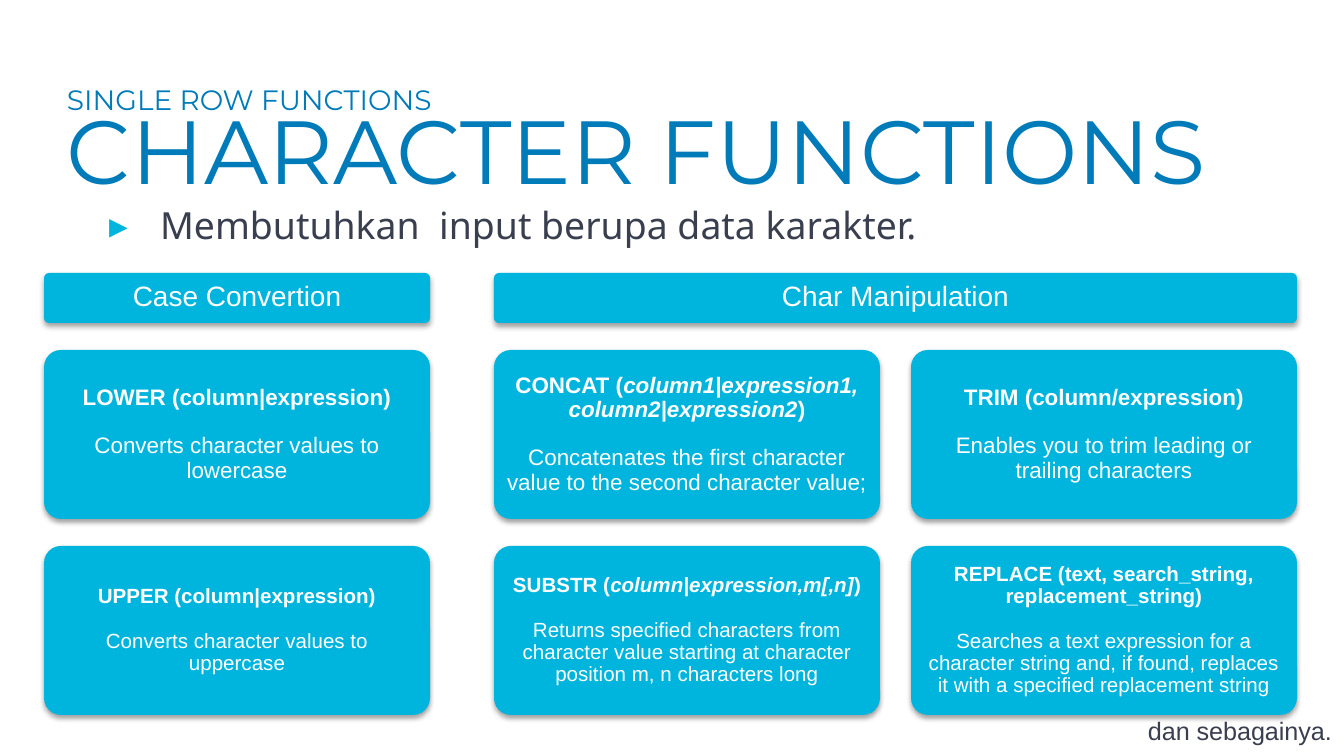
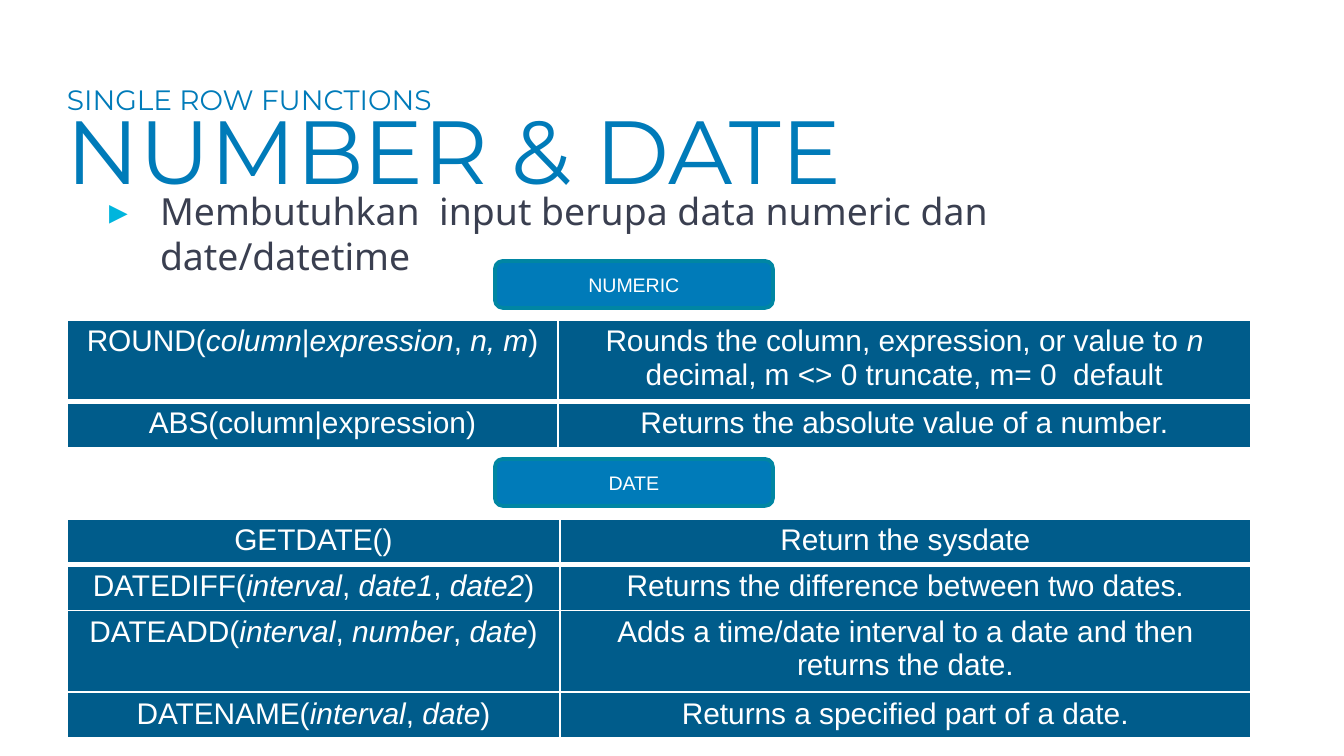
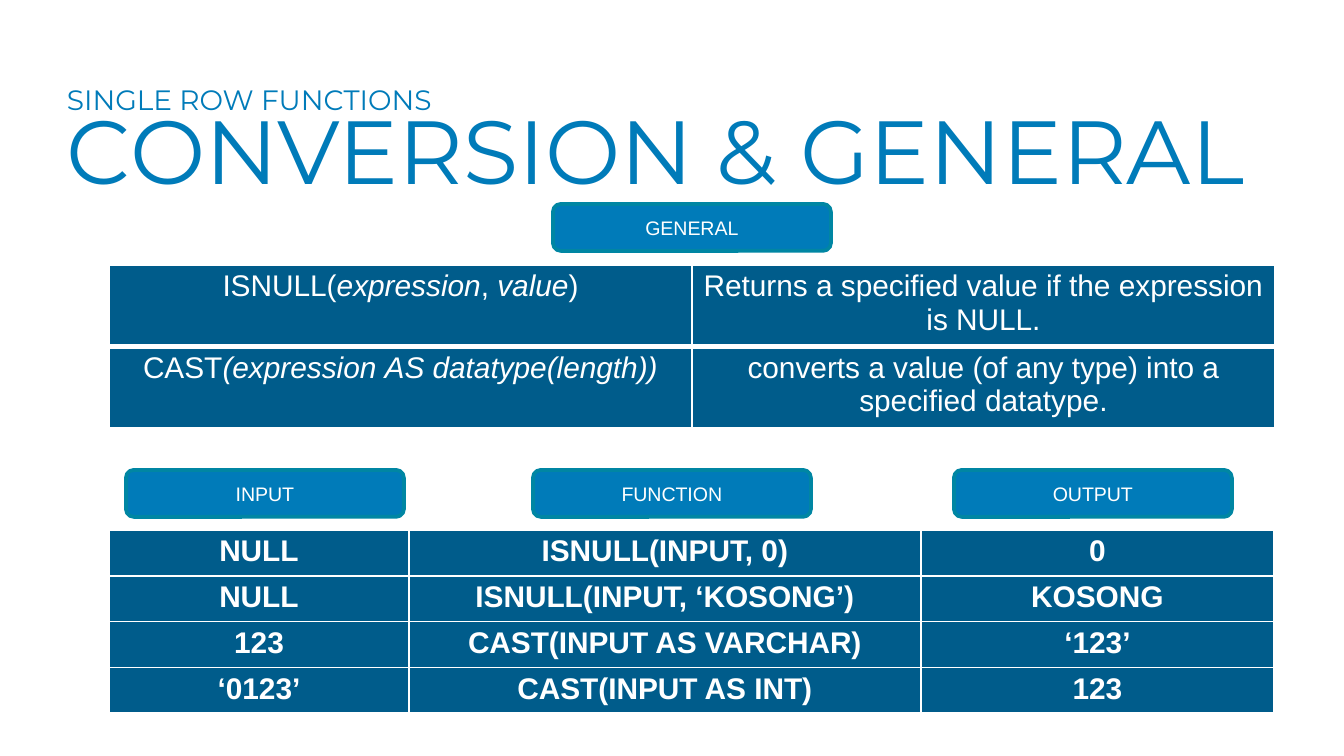
"""Build three slides on SQL single row functions."""
from dataclasses import dataclass

from lxml import etree
from pptx import Presentation
from pptx.dml.color import RGBColor
from pptx.enum.shapes import MSO_SHAPE
from pptx.enum.text import MSO_ANCHOR, PP_ALIGN
from pptx.oxml.ns import qn
from pptx.util import Emu, Pt

ROUNDED = MSO_SHAPE.ROUNDED_RECTANGLE
CENTER, MIDDLE = PP_ALIGN.CENTER, MSO_ANCHOR.MIDDLE
LEFT, TOP = PP_ALIGN.LEFT, MSO_ANCHOR.TOP
BORDERS = ("a:lnL", "a:lnR", "a:lnT", "a:lnB")


@dataclass(frozen=True)
class Theme:
    blue: str = "007BB9"
    cyan: str = "00B5DD"
    teal: str = "0086A3"
    navy: str = "005C8B"
    ink: str = "3A3F50"
    white: str = "FFFFFF"
    shadow: str = "000000"
    title_font: str = "Montserrat"
    body_font: str = "Noto Sans"
    font: str = "Arial"
    title_size: float = 48
    kicker_size: float = 15
    body_size: float = 20
    table_size: float = 16
    header_size: float = 15
    label_size: float = 10.5
    note_size: float = 13.5


def px(value):
    return Emu(round(value * 914400 / 134.4))


def rgb(color):
    return RGBColor.from_string(color)


def add_xml(parent, tag, **attributes):
    return etree.SubElement(parent, qn(tag), attributes)


def add_solid(parent, color):
    fill = add_xml(parent, "a:solidFill")
    return add_xml(fill, "a:srgbClr", val=color)


class SlideBuilder:
    def __init__(self, theme):
        self.theme = theme
        self.deck = Presentation()
        self.deck.slide_width, self.deck.slide_height = px(1344), px(756)
        self.page = None

    def start_page(self, title, width):
        theme = self.theme
        self.page = self.deck.slides.add_slide(self.deck.slide_layouts[6])
        frame = self.text_box(67, 89, width, 159)
        para = frame.paragraphs[0]
        para.text = "SINGLE ROW FUNCTIONS\v" + title
        para.line_spacing = 0.8
        for span, size in zip(para.runs, (theme.kicker_size, theme.title_size)):
            self.style(span, size, theme.blue, theme.title_font)

    def style(self, span, size, color, font=None, bold=False, italic=False):
        span.font.size, span.font.name = Pt(size), font or self.theme.font
        span.font.color.rgb = rgb(color)
        span.font.bold, span.font.italic = bold, italic

    def add_text(self, para, text, size, color, bold=False, align=CENTER):
        """Add text whose italic parts stand between asterisks."""
        para.alignment = align
        for index, part in enumerate(text.split("*")):
            if part:
                span = para.add_run()
                span.text = part
                self.style(span, size, color, bold=bold, italic=index % 2 == 1)

    def inset(self, frame, across, down):
        frame.margin_left = frame.margin_right = px(across)
        frame.margin_top = frame.margin_bottom = px(down)

    def text_box(self, x, y, width, height):
        box = self.page.shapes.add_textbox(px(x), px(y), px(width), px(height))
        frame = box.text_frame
        frame.word_wrap, frame.vertical_anchor = True, TOP
        self.inset(frame, 0, 0)
        return frame

    def bullet(self, y, text):
        theme = self.theme
        para = self.text_box(93, y, 1105, 83).paragraphs[0]
        para.text = text
        para.alignment, para.space_before = LEFT, Pt(6)
        self.style(para.runs[0], theme.body_size, theme.ink, theme.body_font)
        props = para._p.get_or_add_pPr()
        props.set("marL", str(px(67)))
        props.set("indent", str(px(-51)))
        add_xml(add_xml(props, "a:buClr"), "a:srgbClr", val=theme.cyan)
        add_xml(props, "a:buFont", typeface=theme.body_font)
        add_xml(props, "a:buChar", char="▸")

    def note(self, x, y, text):
        frame = self.text_box(x, y, 205, 40)
        frame.word_wrap = False
        self.inset(frame, 10, 5)
        para = frame.paragraphs[0]
        para.line_spacing, para.space_before = 0.9, Pt(10)
        self.add_text(para, text, self.theme.note_size, self.theme.ink, align=LEFT)

    def rounded(self, x, y, width, height, fill):
        box = self.page.shapes.add_shape(ROUNDED, px(x), px(y), px(width), px(height))
        box.fill.solid()
        box.fill.fore_color.rgb = rgb(fill)
        box.line.fill.background()
        box.shadow.inherit = False
        box.text_frame.word_wrap, box.text_frame.vertical_anchor = True, MIDDLE
        return box

    def card(self, x, y, width, height, heading, size, detail=None):
        box = self.rounded(x, y, width, height, self.theme.cyan)
        box.adjustments[0] = 0.1
        effects = box._element.spPr.find(qn("a:effectLst"))
        shadow = add_xml(effects, "a:outerShdw", blurRad=str(Pt(3.1)),
                         dist=str(Pt(1.6)), dir="5400000", rotWithShape="0")
        color = add_xml(shadow, "a:srgbClr", val=self.theme.shadow)
        add_xml(color, "a:alpha", val="38000")
        frame = box.text_frame
        self.inset(frame, 7, 7)
        para = frame.paragraphs[0]
        para.line_spacing = 0.9
        self.add_text(para, heading, size, self.theme.white, bold=detail is not None)
        if detail:
            para.space_after = Pt(size + 1)
            para = frame.add_paragraph()
            para.line_spacing = 0.9
            self.add_text(para, detail, size, self.theme.white)

    def label(self, x, y, text):
        box = self.rounded(x, y, 278, 47, self.theme.blue)
        box.line.color.rgb, box.line.width = rgb(self.theme.teal), Pt(2)
        self.add_text(box.text_frame.paragraphs[0], text, self.theme.label_size,
                      self.theme.white)

    def table(self, x, y, widths, heights, rows, bold=False, thick_first=True):
        frame = self.page.shapes.add_table(len(rows), len(widths), px(x), px(y),
                                           px(sum(widths)), px(sum(heights)))
        table = frame.table
        table.first_row = table.horz_banding = False
        for column, width in zip(table.columns, widths):
            column.width = px(width)
        for index, (row, height, texts) in enumerate(zip(table.rows, heights, rows)):
            row.height = px(height)
            for cell, text in zip(row.cells, texts):
                self.cell(cell, text, bold, 3 if thick_first and index == 0 else 1)

    def cell(self, cell, text, bold, bottom):
        self.inset(cell, 10, 5)
        self.add_text(cell.text_frame.paragraphs[0], text, self.theme.table_size,
                      self.theme.white, bold)
        props = cell._tc.get_or_add_tcPr()
        for tag, width in zip(BORDERS, (1, 1, 1, bottom)):
            add_solid(add_xml(props, tag, w=str(Pt(width))), self.theme.white)
        cell.fill.solid()
        cell.fill.fore_color.rgb = rgb(self.theme.navy)


def character_page(slides):
    slides.start_page("CHARACTER FUNCTIONS", 1140)
    slides.bullet(202, "Membutuhkan  input berupa data karakter.")
    slides.note(1138, 714, "dan sebagainya.")
    lefts, width = (44, 494, 911), 386
    header = slides.theme.header_size
    slides.card(lefts[0], 273, width, 50, "Case Convertion", header)
    slides.card(lefts[1], 273, lefts[2] + width - lefts[1], 50,
                "Char Manipulation", header)
    card_rows = (
        (350, 12, (
            ("LOWER (column|expression)", "Converts character values to lowercase"),
            ("CONCAT (*column1|expression1, column2|expression2*)",
             "Concatenates the first character value to the second character value;"),
            ("TRIM (column/expression)",
             "Enables you to trim leading or trailing characters"))),
        (546, 11, (
            ("UPPER (column|expression)", "Converts character values to uppercase"),
            ("SUBSTR (*column|expression,m[,n]*)",
             "Returns specified characters from character value starting at "
             "character position m, n characters long"),
            ("REPLACE (text, search_string, replacement_string)",
             "Searches a text expression for a character string and, if found, "
             "replaces it with a specified replacement string"))))
    for top, size, cards in card_rows:
        for left, (heading, detail) in zip(lefts, cards):
            slides.card(left, top, width, 169, heading, size, detail)


def number_page(slides):
    slides.start_page("NUMBER & DATE", 1250)
    slides.bullet(188, "Membutuhkan  input berupa data numeric dan date/datetime")
    slides.table(67, 320, (491, 693), (71, 34), (
        ("ROUND(*column*|*expression*, *n, m*)",
         "Rounds the column, expression, or value to *n *"
         "decimal, m <> 0 truncate, m= 0  default"),
        ("ABS(column|expression)", "Returns the absolute value of a number.")))
    slides.table(67, 519, (493, 691), (40, 40, 71, 40), (
        ("GETDATE()", "Return the sysdate"),
        ("DATEDIFF(*interval*,\u00a0*date1*,\u00a0*date2*)",
         "Returns the difference between two dates."),
        ("DATEADD(*interval*,\u00a0*number*,\u00a0*date*)",
         "Adds a time/date interval to a date and then returns the date."),
        ("DATENAME(*interval*,\u00a0*date*)",
         "Returns a specified part of a date.")))
    for top, text in ((261, "NUMERIC"), (459, "DATE")):
        slides.label(495, top, text)


def conversion_page(slides):
    slides.start_page("CONVERSION & GENERAL", 1184)
    slides.table(109, 265, (583, 583), (71, 71), (
        ("ISNULL(*expression*,\u00a0*value*)",
         "Returns a specified value if the expression is NULL."),
        ("CAST*(expression\u00a0AS\u00a0datatype(length))*",
         "converts a value (of any type) into a specified datatype.")))
    slides.label(553, 204, "GENERAL")
    slides.table(109, 530, (300, 512, 353), (40,) * 4, (
        ("NULL", "ISNULL(INPUT, 0)", "0"),
        ("NULL", "ISNULL(INPUT, ‘KOSONG’)", "KOSONG"),
        ("123", "CAST(INPUT AS VARCHAR)", "‘123’"),
        ("‘0123’", "CAST(INPUT AS INT)", "123")), bold=True, thick_first=False)
    for left, text in ((126, "INPUT"), (533, "FUNCTION"), (954, "OUTPUT")):
        slides.label(left, 470, text)


builder = SlideBuilder(Theme())
character_page(builder)
number_page(builder)
conversion_page(builder)
builder.deck.save("out.pptx")
